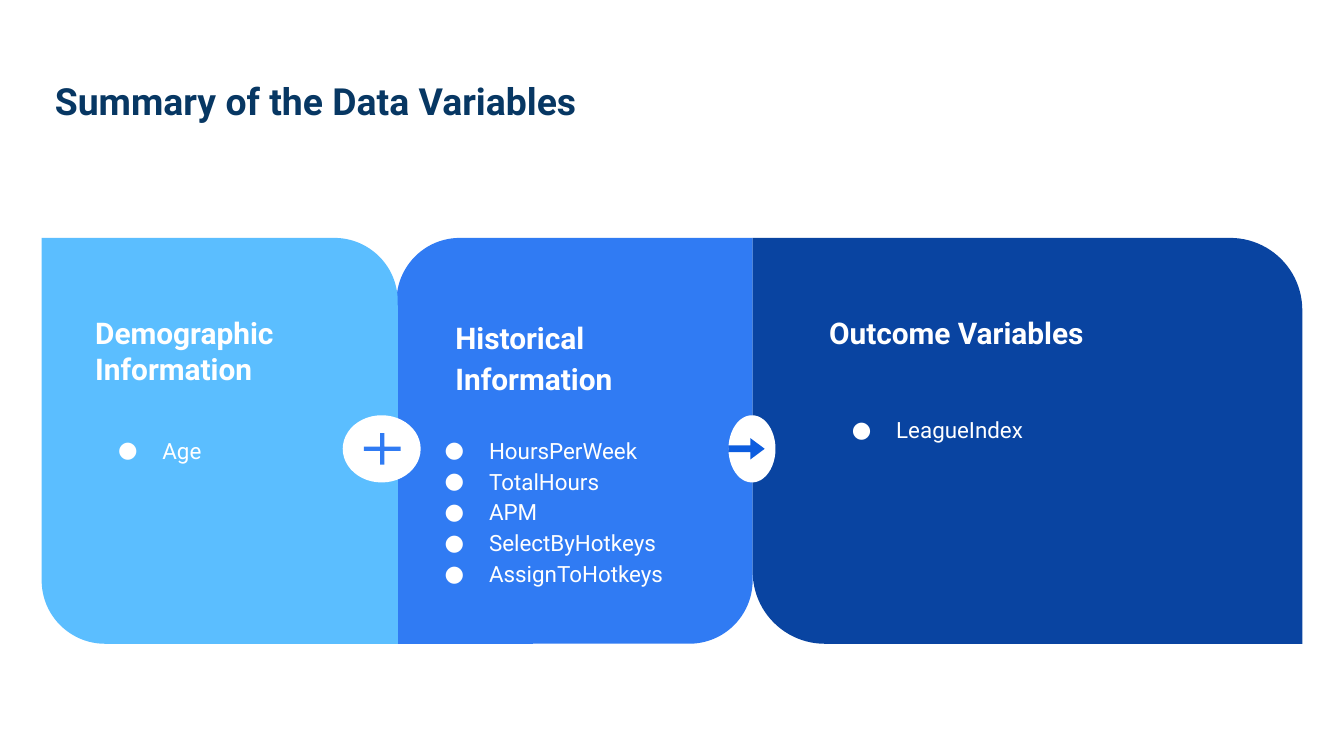
from lxml import etree
from pptx import Presentation
from pptx.dml.color import RGBColor
from pptx.enum.shapes import MSO_SHAPE
from pptx.enum.text import MSO_ANCHOR
from pptx.oxml.ns import qn
from pptx.util import Inches, Pt

PANEL = MSO_SHAPE.ROUND_2_DIAG_RECTANGLE
OVAL = MSO_SHAPE.OVAL
PLUS = MSO_SHAPE.MATH_PLUS
ARROW = MSO_SHAPE.RIGHT_ARROW
TOP, MIDDLE = MSO_ANCHOR.TOP, MSO_ANCHOR.MIDDLE

FONT = "Roboto"
COLORS = {
    "white": "FFFFFF",
    "title": "073763",
    "sky": "5BBEFF",
    "blue": "307BF3",
    "navy": "0944A1",
    "arrow": "0D5DDF",
}
ROUND = 0.178
PANEL_TOP, PANEL_HEIGHT = 1.77, 3.02


def add_filled(slide, kind, box, color, adjustments=()):
    """Add a borderless preset shape with a solid fill."""
    sp = slide.shapes.add_shape(kind, *map(Inches, box))
    sp.shadow.inherit = False
    sp.fill.solid()
    sp.fill.fore_color.rgb = RGBColor.from_string(COLORS[color])
    sp.line.fill.background()
    for i, value in enumerate(adjustments):
        sp.adjustments[i] = value
    return sp


def set_bullet(p):
    """Give a paragraph a white round bullet with a hanging indent."""
    pPr = p._p.get_or_add_pPr()
    pPr.set("marL", str(Inches(0.5)))
    pPr.set("indent", str(Inches(-0.33)))
    color = etree.SubElement(pPr, qn("a:buClr"))
    etree.SubElement(color, qn("a:srgbClr"), val=COLORS["white"])
    etree.SubElement(pPr, qn("a:buFont"), typeface=FONT)
    etree.SubElement(pPr, qn("a:buChar"), char="●")


def add_text(slide, box, lines, size, color="white", bold=False, bullets=False,
             spacing=None, after=None, anchor=TOP):
    """Add a wrapped text box with one paragraph per line."""
    tf = slide.shapes.add_textbox(*map(Inches, box)).text_frame
    tf.word_wrap = True
    tf.vertical_anchor = anchor
    tf.margin_left = tf.margin_right = Inches(0.1)
    tf.margin_top = tf.margin_bottom = Inches(0.1)
    for i, line in enumerate(lines):
        p = tf.add_paragraph() if i else tf.paragraphs[0]
        if spacing:
            p.line_spacing = spacing
        if after:
            p.space_after = Pt(after)
        if bullets:
            set_bullet(p)
        r = p.add_run()
        r.text = line
        r.font.name = FONT
        r.font.size = Pt(size)
        r.font.bold = bold
        r.font.color.rgb = RGBColor.from_string(COLORS[color])


def add_panel(slide, left, width, color, corners, heading, heading_box, items,
              items_box, spacing=None, after=None):
    """Add a panel whose heading and list boxes are relative to its corner."""
    add_filled(slide, PANEL, (left, PANEL_TOP, width, PANEL_HEIGHT), color, corners)

    def place(box):
        """Move a panel-relative box onto the slide."""
        x, y, w, h = box
        return left + x, PANEL_TOP + y, w, h

    add_text(slide, place(heading_box), heading, 16, bold=True,
             spacing=spacing, after=after)
    add_text(slide, place(items_box), items, 12, bullets=True, spacing=1.15)


def add_badge(slide, box, kind, symbol_box, color, adjustments):
    """Add a white oval with a symbol placed relative to it."""
    left, top, _, _ = box
    x, y, w, h = symbol_box
    add_filled(slide, OVAL, box, "white")
    add_filled(slide, kind, (left + x, top + y, w, h), color, adjustments)


def build_slide(slide):
    """Place the title, the three panels and the badges between them."""
    add_panel(slide, 2.95, 2.65, "blue", (ROUND, 0),
              ["Historical Information"], (0.34, 0.47, 1.98, 0.88),
              ["HoursPerWeek", "TotalHours", "APM", "SelectByHotkeys",
               "AssignToHotkeys"],
              (0.09, 1.35, 2.38, 0.98), spacing=1.15, after=11)
    add_panel(slide, 0.31, 2.65, "sky", (0, ROUND),
              ["Demographic", "Information"], (0.3, 0.47, 1.98, 0.88),
              ["Age"], (0.3, 1.35, 1.98, 0.98))
    add_panel(slide, 5.6, 4.09, "navy", (0, ROUND),
              ["Outcome Variables"], (0.47, 0.47, 3.29, 0.88),
              ["LeagueIndex"], (0.47, 1.2, 3.29, 1.5))
    add_badge(slide, (5.42, 3.09, 0.35, 0.5), ARROW, (0, 0.17, 0.27, 0.16),
              "arrow", (0.32, 0.67))
    add_badge(slide, (2.55, 3.09, 0.58, 0.5), PLUS, (0.11, 0.09, 0.37, 0.32),
              "blue", (0.099,))
    add_text(slide, (0.31, 0.53, 4.75, 0.43), ["Summary of the Data Variables"],
             20, color="title", bold=True, anchor=MIDDLE)


def main():
    """Build and save the presentation."""
    prs = Presentation()
    prs.slide_width, prs.slide_height = Inches(10), Inches(10 * 9 / 16)
    build_slide(prs.slides.add_slide(prs.slide_layouts[6]))
    prs.save("out.pptx")


if __name__ == "__main__":
    main()
